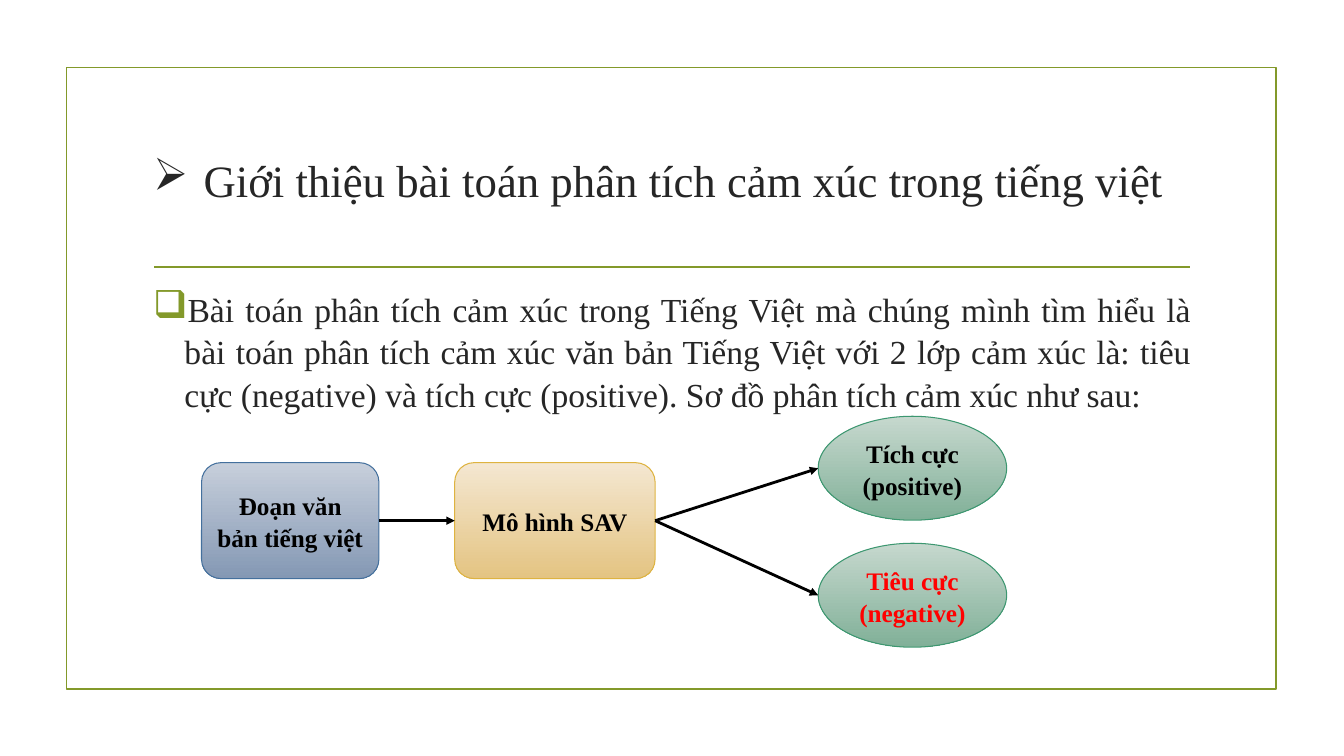
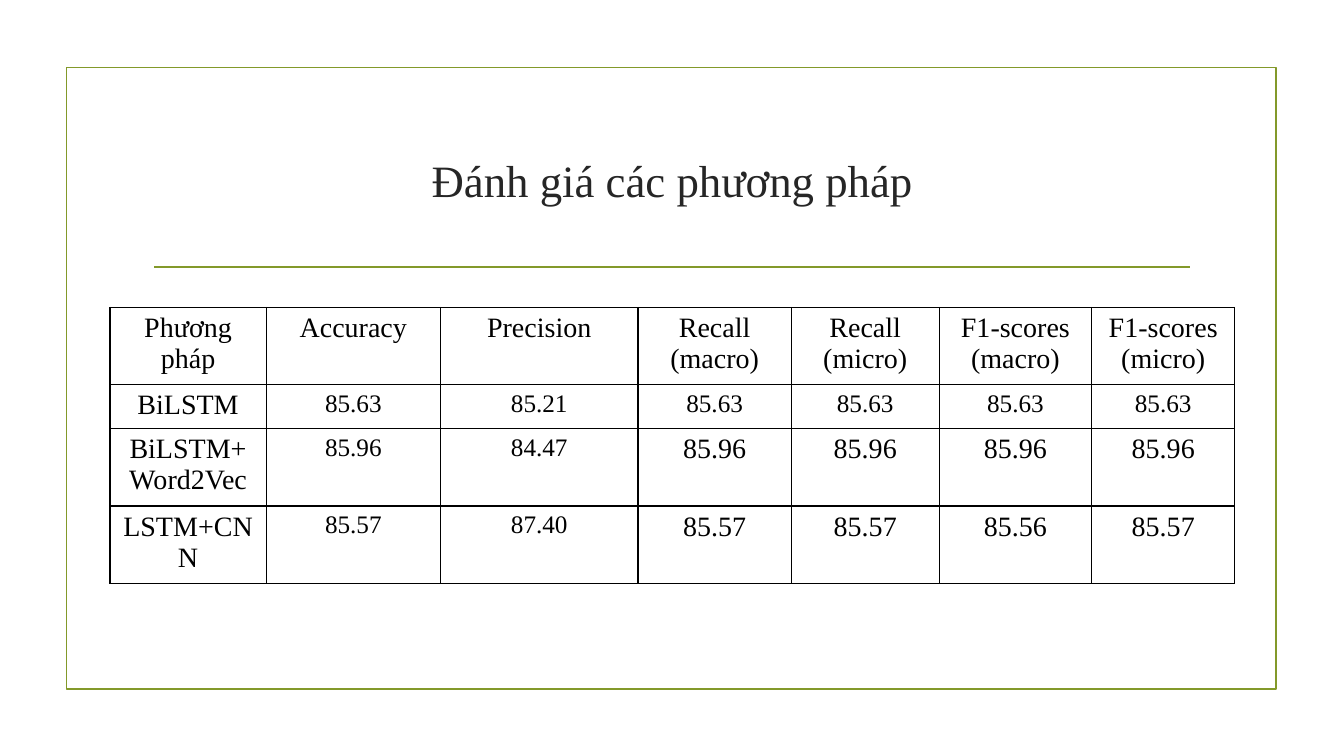
from lxml import etree
from pptx import Presentation
from pptx.dml.color import RGBColor
from pptx.enum import shapes, text
from pptx.oxml import parse_xml
from pptx.oxml.ns import nsdecls, qn
from pptx.util import Cm, Pt

FONT = "Times New Roman"
GREEN, INK, BLACK, RED = "83992A", "262626", "000000", "FF0000"
CENTER, JUSTIFY = text.PP_ALIGN.CENTER, text.PP_ALIGN.JUSTIFY
SIDES = ("a:lnL", "a:lnR", "a:lnT", "a:lnB")


def write(frame, wording, size, colour, align=CENTER, bold=False, spacing=None, bullet=None, indent=0):
    """Fill a text frame, one paragraph a line; indent is the hanging indent in cm."""
    frame.text = wording
    frame.word_wrap = True
    for para in frame.paragraphs:
        para.alignment = align
        para.line_spacing = spacing
        for span in para.runs:
            span.font.name, span.font.size, span.font.bold = FONT, Pt(size), bold
            span.font.color.rgb = RGBColor.from_string(colour)
        if bullet:
            props = para._p.get_or_add_pPr()
            props.set("marL", str(Cm(indent)))
            props.set("indent", str(-Cm(indent)))
            etree.SubElement(props, qn("a:buChar")).set("char", bullet)


def draw_line(page, start, end, colour, width, arrow=False):
    line = page.shapes.add_connector(
        shapes.MSO_CONNECTOR.STRAIGHT, *[Cm(value) for value in (*start, *end)])
    line.line.color.rgb = RGBColor.from_string(colour)
    line.line.width = Pt(width)
    if arrow:
        etree.SubElement(line.line._get_or_add_ln(), qn("a:tailEnd")).set("type", "triangle")
    etree.SubElement(line._element.spPr, qn("a:effectLst"))


deck = Presentation()
deck.slide_width, deck.slide_height = Cm(33.87), Cm(19.05)

# Frame, rule and title shared by both slides
titles = [
    ("Giới thiệu bài toán phân tích cảm xúc trong tiếng việt", JUSTIFY, "➢", 1.27),
    ("Đánh giá các phương pháp", CENTER, None, 0),
]
pages = []
for title, align, bullet, indent in titles:
    page = deck.slides.add_slide(deck.slide_layouts[6])
    border = page.shapes.add_shape(
        shapes.MSO_SHAPE.RECTANGLE, Cm(1.68), Cm(1.7), Cm(30.48), Cm(15.67))
    border.shadow.inherit = False
    border.fill.background()
    border.line.color.rgb = RGBColor.from_string(GREEN)
    border.line.width = Pt(1.25)
    draw_line(page, (3.89, 6.73), (30, 6.73), GREEN, 1.25)
    box = page.shapes.add_textbox(Cm(3.61), Cm(2.72), Cm(26.67), Cm(3.63))
    box.text_frame.vertical_anchor = text.MSO_ANCHOR.MIDDLE
    write(box.text_frame, title, 32, INK, align, bullet=bullet, indent=indent)
    pages.append(page)
intro, results = pages

# Slide 1: introduction and flow diagram
body = intro.shapes.add_textbox(Cm(3.61), Cm(7.11), Cm(26.67), Cm(9.22))
write(body.text_frame,
      "Bài toán phân tích cảm xúc trong Tiếng Việt mà chúng mình tìm hiểu là bài toán "
      "phân tích cảm xúc văn bản Tiếng Việt với 2 lớp cảm xúc là: tiêu cực (negative) "
      "và tích cực (positive). Sơ đồ phân tích cảm xúc như sau:",
      24, INK, JUSTIFY, spacing=1.05, bullet="❑", indent=0.79)
para = body.text_frame.paragraphs[0]
para.space_before, para.space_after = Pt(4.8), Pt(6)
mark = para._p.pPr.find(qn("a:buChar"))
mark.addprevious(parse_xml(
    f'<a:buClr {nsdecls("a")}><a:srgbClr val="{GREEN}"/></a:buClr>'))
mark.addprevious(parse_xml(f'<a:buSzPct {nsdecls("a")} val="115000"/>'))

ROUNDED, OVAL = shapes.MSO_SHAPE.ROUNDED_RECTANGLE, shapes.MSO_SHAPE.OVAL
BLUES = ("C7CFDB", "8498B4", "44709D")
GOLDS = ("F4E7D1", "E4C482", "DEB340")
TEALS = ("C6D8CE", "81B098", "3C9770")
steps = [
    (ROUNDED, 5.08, 11.66, 4.47, 2.92, BLUES, "Đoạn văn bản tiếng việt", BLACK),
    (ROUNDED, 11.46, 11.66, 5.05, 2.92, GOLDS, "Mô hình SAV", BLACK),
    (OVAL, 20.62, 10.49, 4.75, 2.62, TEALS, "Tích cực (positive)", BLACK),
    (OVAL, 20.62, 13.69, 4.75, 2.62, TEALS, "Tiêu cực (negative)", RED),
]
for kind, left, top, width, height, (light, dark, edge), label, colour in steps:
    step = intro.shapes.add_shape(kind, Cm(left), Cm(top), Cm(width), Cm(height))
    step.shadow.inherit = False
    step.fill.gradient()
    step.fill.gradient_angle = 270
    for stop, shade, position in zip(step.fill.gradient_stops, (light, dark), (0, 1)):
        stop.color.rgb = RGBColor.from_string(shade)
        stop.position = position
    step.line.color.rgb = RGBColor.from_string(edge)
    step.line.width = Pt(0.75)
    step.text_frame.vertical_anchor = text.MSO_ANCHOR.MIDDLE
    write(step.text_frame, label, 18, colour, bold=True, spacing=1.07)

for source, target in ((0, 1), (1, 2), (1, 3)):
    _, left, top, width, height = steps[source][:5]
    _, end_left, end_top, _, end_height = steps[target][:5]
    draw_line(intro, (left + width, top + height / 2),
              (end_left, end_top + end_height / 2), BLACK, 2, arrow=True)

# Slide 2: scores of the methods
widths = [3.94, 4.39, 4.98, 3.86, 3.73, 3.84, 3.61]
rows = [
    ["Phương pháp", "Accuracy", "Precision", "Recall (macro)", "Recall\n(micro)",
     "F1-scores\n(macro)", "F1-scores\n(micro)"],
    ["BiLSTM", "85.63", "85.21", "85.63", "85.63", "85.63", "85.63"],
    ["BiLSTM+\nWord2Vec", "85.96", "84.47", "85.96", "85.96", "85.96", "85.96"],
    ["LSTM+CNN", "85.57", "87.40", "85.57", "85.57", "85.56", "85.57"],
]
heights = [1.83, 1.04, 1.83, 1.83]
table = results.shapes.add_table(
    len(rows), len(widths), Cm(2.77), Cm(7.75), Cm(sum(widths)), Cm(sum(heights))).table
table.first_row = table.horz_banding = False
for column, width in zip(table.columns, widths):
    column.width = Cm(width)
for row_index, (values, height) in enumerate(zip(rows, heights)):
    table.rows[row_index].height = Cm(height)
    for column_index, value in enumerate(values):
        cell = table.cell(row_index, column_index)
        small = row_index == 1 and column_index > 0 or row_index > 1 and column_index in (1, 2)
        write(cell.text_frame, value, 18 if small else 20, BLACK)
        for side in SIDES:
            cell._tc.get_or_add_tcPr().append(parse_xml(
                f'<{side} {nsdecls("a")} w="{Pt(1)}"><a:solidFill>'
                f'<a:srgbClr val="{BLACK}"/></a:solidFill></{side}>'))
        cell.fill.background()

deck.save("out.pptx")
